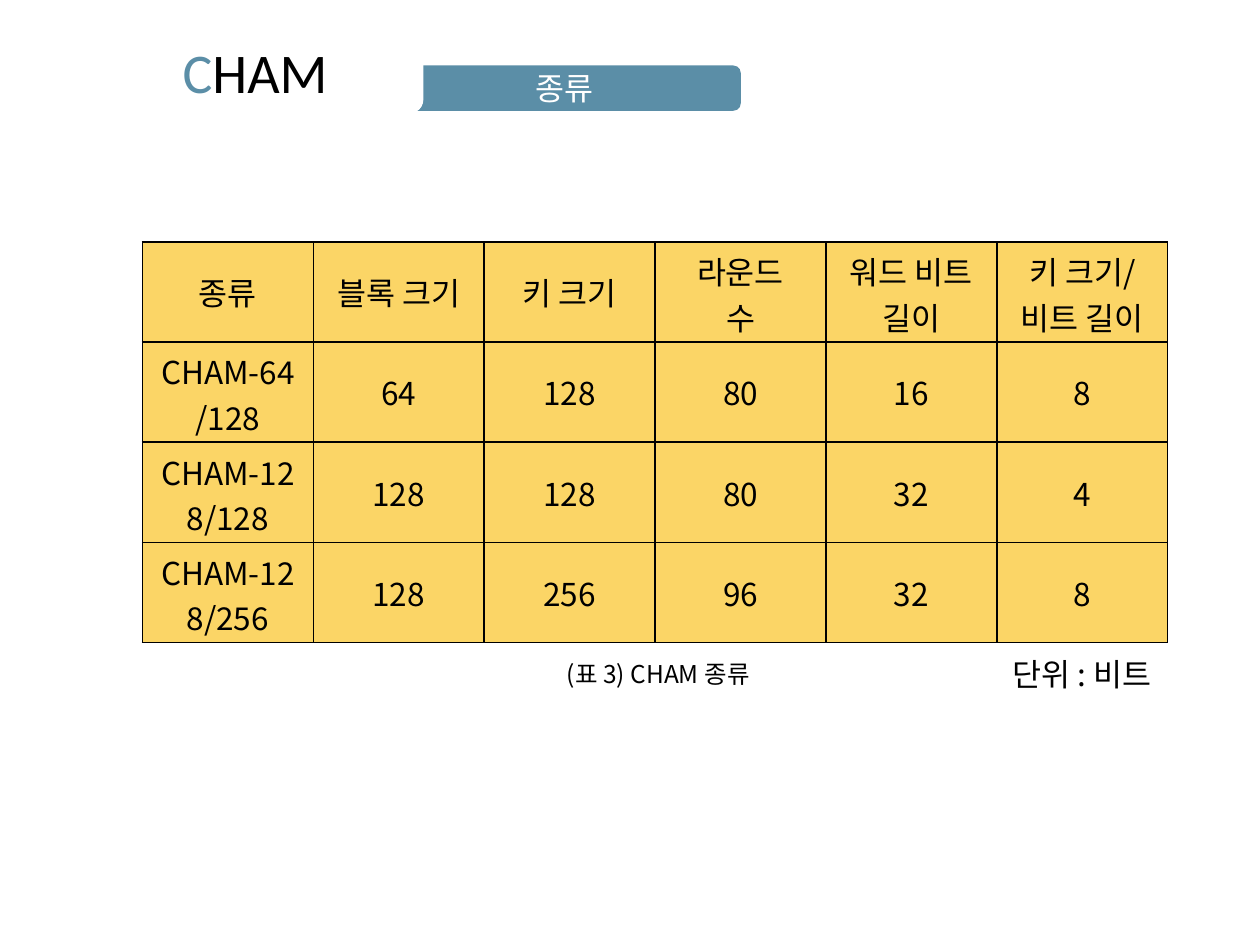
from lxml.etree import SubElement, fromstring
from pptx import Presentation
from pptx.dml.color import RGBColor
from pptx.enum.shapes import MSO_SHAPE
from pptx.enum.text import MSO_ANCHOR, MSO_AUTO_SIZE, PP_ALIGN
from pptx.oxml.ns import nsdecls, qn
from pptx.util import Inches, Pt

THEME = {
    "blue": RGBColor.from_string("5B8EA7"),
    "yellow": RGBColor.from_string("FBD566"),
    "white": RGBColor.from_string("FFFFFF"),
    "black": RGBColor.from_string("000000"),
    "title_font": "Calibri",
    "body_font": "Noto Sans CJK KR",
    "title_size": Pt(32),
    "body_size": Pt(18),
    "caption_size": Pt(14),
    "border": Pt(1),
}

TITLE = [("C", "blue"), ("HAM", "black")]
SECTION = "종류"
CIPHERS = [
    ["종류", "블록 크기", "키 크기", "라운드\n수", "워드 비트 길이", "키 크기/\n비트 길이"],
    ["CHAM-64/128", "64", "128", "80", "16", "8"],
    ["CHAM-128/128", "128", "128", "80", "32", "4"],
    ["CHAM-128/256", "128", "256", "96", "32", "8"],
]
UNIT = "단위 : 비트"
CAPTION = "(표 3) CHAM 종류"

SECTION_BOX = (3.08, 0.52, 2.8, 0.36)
TITLE_PLATE = (-0.01, 0.25, 3.37, 0.65)
TITLE_BOX = (1.34, 0.25, 1.37, 0.64)
TABLE_BOX = (1.13, 1.92, 8.14, 3.18)
UNIT_BOX = (7.94, 5.15, 2.8, 0.4)
CAPTION_BOX = (4.4, 5.18, 1.7, 0.34)


def place(box):
    return [Inches(length) for length in box]


def add_run(paragraph, text, color="black", face="body_font", size="body_size"):
    run = paragraph.add_run()
    run.text = text
    font_format = {"name": THEME[face], "size": THEME[size], "bold": False}
    for attribute, value in font_format.items():
        setattr(run.font, attribute, value)
    run.font.color.rgb = THEME[color]
    SubElement(run.font._element, qn("a:ea"), typeface=THEME[face])


def write(frame, text, align=PP_ALIGN.CENTER, **style):
    for index, line in enumerate(text.split("\n")):
        paragraph = frame.add_paragraph() if index else frame.paragraphs[0]
        paragraph.alignment = align
        add_run(paragraph, line, **style)


def add_plate(slide, box, color):
    plate = slide.shapes.add_shape(MSO_SHAPE.FLOWCHART_ALTERNATE_PROCESS, *place(box))
    plate.shadow.inherit = False
    plate.fill.solid()
    plate.fill.fore_color.rgb = THEME[color]
    plate.line.fill.background()
    plate.text_frame.vertical_anchor = MSO_ANCHOR.MIDDLE
    return plate.text_frame


def add_label(slide, box, wrap=True):
    frame = slide.shapes.add_textbox(*place(box)).text_frame
    frame.word_wrap = wrap
    frame.auto_size = MSO_AUTO_SIZE.SHAPE_TO_FIT_TEXT
    return frame


def add_borders(cell):
    properties = cell._tc.get_or_add_tcPr()
    for index, side in enumerate(("lnL", "lnR", "lnT", "lnB")):
        border = fromstring(
            f'<a:{side} {nsdecls("a")} w="{THEME["border"]}"><a:solidFill>'
            f'<a:srgbClr val="{THEME["black"]}"/></a:solidFill></a:{side}>'
        )
        properties.insert(index, border)


def add_cipher_table(slide):
    columns = len(CIPHERS[0])
    table = slide.shapes.add_table(len(CIPHERS), columns, *place(TABLE_BOX)).table
    for column in table.columns:
        column.width = Inches(TABLE_BOX[2] / columns)
    for row, values in zip(table.rows, CIPHERS):
        row.height = Inches(TABLE_BOX[3] / len(CIPHERS))
        for cell, value in zip(row.cells, values):
            cell.vertical_anchor = MSO_ANCHOR.MIDDLE
            cell.fill.solid()
            cell.fill.fore_color.rgb = THEME["yellow"]
            add_borders(cell)
            write(cell.text_frame, value)


def main():
    deck = Presentation()
    deck.slide_width, deck.slide_height = Inches(10), Inches(7.5)
    slide = deck.slides.add_slide(deck.slide_layouts[6])

    write(add_plate(slide, SECTION_BOX, "blue"), SECTION, color="white")
    add_plate(slide, TITLE_PLATE, "white")
    title = add_label(slide, TITLE_BOX, wrap=False).paragraphs[0]
    title.alignment = PP_ALIGN.CENTER
    for text, color in TITLE:
        add_run(title, text, color, "title_font", "title_size")

    add_cipher_table(slide)
    write(add_label(slide, UNIT_BOX), UNIT, PP_ALIGN.LEFT)
    write(add_label(slide, CAPTION_BOX), CAPTION, PP_ALIGN.LEFT, size="caption_size")
    deck.save("out.pptx")


if __name__ == "__main__":
    main()
